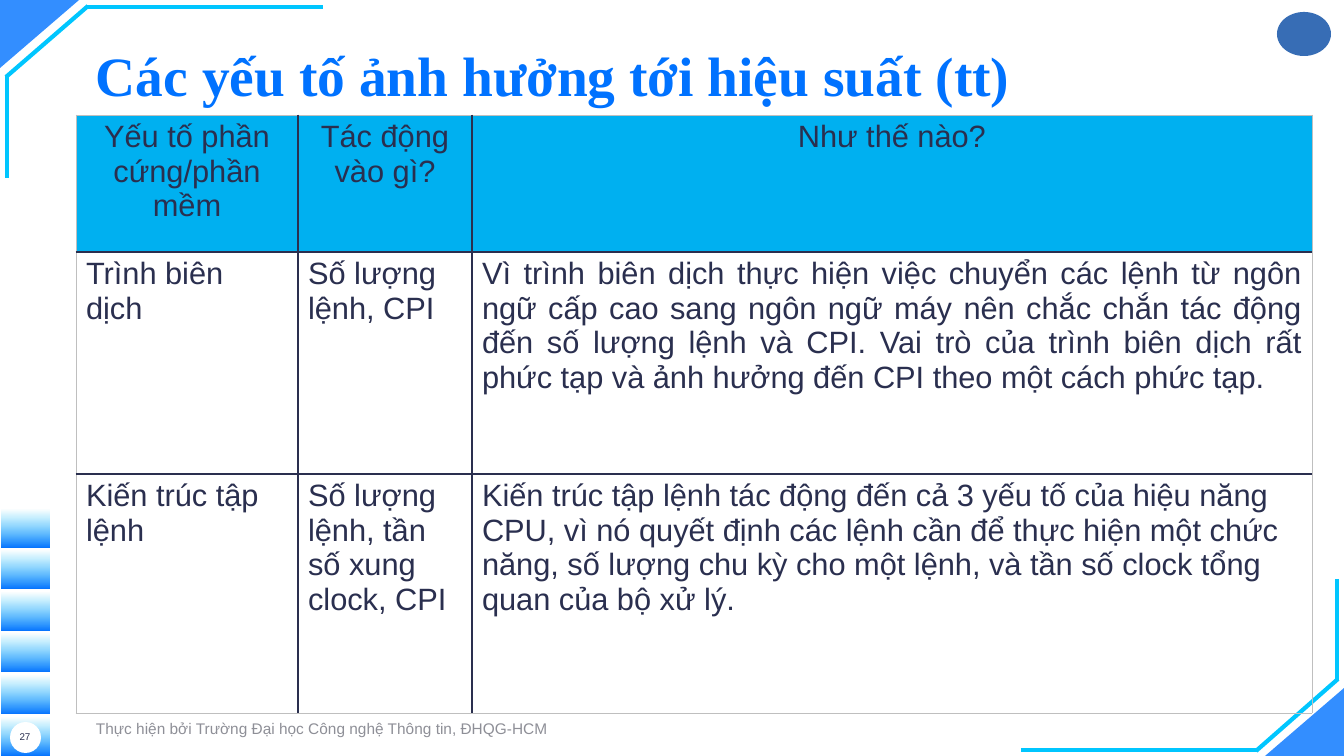
from lxml.etree import SubElement
from pptx import Presentation
from pptx.dml.color import RGBColor
from pptx.enum.shapes import MSO_CONNECTOR, MSO_SHAPE as SHAPE
from pptx.enum.text import MSO_ANCHOR, PP_ALIGN as ALIGN
from pptx.oxml.ns import qn
from pptx.util import Emu, Pt

COLORS = {
    "blue": "0072FF", "cyan": "00C6FF", "header": "00B0F0", "ink": "2A2F4F",
    "muted": "8E8F97", "edge": "BFBFBF", "logo": "376DB5", "white": "FFFFFF",
}
TITLE = "Các yếu tố ảnh hưởng tới hiệu suất (tt)"
FOOTER = "Thực hiện bởi Trường Đại học Công nghệ Thông tin, ĐHQG-HCM"
PAGE = "27"
ROWS = [
    ("Yếu tố phần cứng/phần mềm", "Tác động vào gì?", "Như thế nào?"),
    ("Trình biên dịch", "Số lượng lệnh, CPI",
     "Vì trình biên dịch thực hiện việc chuyển các lệnh từ ngôn ngữ cấp cao sang "
     "ngôn ngữ máy nên chắc chắn tác động đến số lượng lệnh và CPI. Vai trò của "
     "trình biên dịch rất phức tạp và ảnh hưởng đến CPI theo một cách phức tạp."),
    ("Kiến trúc tập lệnh", "Số lượng lệnh, tần số xung clock, CPI",
     "Kiến trúc tập lệnh tác động đến cả 3 yếu tố của hiệu năng CPU, vì nó quyết "
     "định các lệnh cần để thực hiện một chức năng, số lượng chu kỳ cho một lệnh, "
     "và tần số clock tổng quan của bộ xử lý."),
]
COL_WIDTHS = (222, 174, 840)
ROW_HEIGHTS = (137, 222, 239)
TABLE_AT = (76, 115)
CORNERS = [((0, 0, 79, 68), 180), ((1265, 688, 79, 68), 0)]
FRAME_LINES = [
    (323, 7, 86, 7), (88, 6, 6, 77), (7, 178, 7, 75),
    (1021, 750, 1258, 750), (1256, 751, 1338, 679), (1337, 579, 1337, 681),
]
TEXTS = [
    (TITLE, (86, 24, 1166, 87),
     {"name": "Times New Roman", "size": Pt(39.6), "bold": True}, "blue",
     {"line_spacing": 1.2, "space_after": Pt(2)}),
    (FOOTER, (86, 714, 476, 29), {"name": "Arial", "size": Pt(11)}, "muted", {}),
    (PAGE, (6, 718, 38, 38), {"name": "Arial", "size": Pt(7)}, "ink",
     {"alignment": ALIGN.CENTER}),
]
CELL_FONT = {"name": "Arial", "size": Pt(22), "bold": False}


def px(*values):
    return [Emu(round(v * 914400 / 100.8)) for v in values]


def rgb(name):
    return RGBColor.from_string(COLORS[name])


def set_alpha(sp, color, percent):
    for node in sp._element.iter(qn("a:srgbClr")):
        if node.get("val") == COLORS[color]:
            SubElement(node, qn("a:alpha"), val=str(percent * 1000))


def add_shape(kind, box, color=None):
    sp = slide.shapes.add_shape(kind, *px(*box))
    sp.shadow.inherit = False
    sp.line.fill.background()
    if color:
        sp.fill.solid()
        sp.fill.fore_color.rgb = rgb(color)
    return sp


def write(tf, text, font, color, layout):
    p = tf.paragraphs[0]
    r = p.add_run()
    r.text = text
    r.font.color.rgb = rgb(color)
    for target, values in ((r.font, font), (p, layout)):
        for key, value in values.items():
            setattr(target, key, value)


def add_border(cell, side, color, width):
    ln = SubElement(cell._tc.get_or_add_tcPr(), qn("a:ln" + side), w=str(Pt(width)))
    SubElement(SubElement(ln, qn("a:solidFill")), qn("a:srgbClr"), val=COLORS[color])


prs = Presentation()
prs.slide_width, prs.slide_height = px(1344, 756)
slide = prs.slides.add_slide(prs.slide_layouts[6])

for box, angle in CORNERS:
    sp = add_shape(SHAPE.ISOSCELES_TRIANGLE, box, "blue")
    sp.adjustments[0] = 1
    sp.rotation = angle
    set_alpha(sp, "blue", 80)

for ends in FRAME_LINES:
    line = slide.shapes.add_connector(MSO_CONNECTOR.STRAIGHT, *px(*ends))
    line.line.color.rgb = rgb("cyan")
    line.line.width = Pt(3)
    SubElement(line._element.spPr, qn("a:effectLst"))

for i in range(6):
    sp = add_shape(SHAPE.RECTANGLE, (2, 510 + i * 208 // 5, 48, 38))
    sp.fill.gradient()
    sp.fill.gradient_angle = 90
    for stop, color in zip(sp.fill.gradient_stops, ("blue", "cyan")):
        stop.color.rgb = rgb(color)
    set_alpha(sp, "cyan", 0)

add_shape(SHAPE.OVAL, (1277, 12, 54, 44), "logo")
add_shape(SHAPE.OVAL, (10, 722, 31, 31), "white")

for text, box, font, color, layout in TEXTS:
    tf = slide.shapes.add_textbox(*px(*box)).text_frame
    tf.word_wrap = True
    tf.vertical_anchor = MSO_ANCHOR.MIDDLE
    write(tf, text, font, color, layout)

table = slide.shapes.add_table(
    len(ROW_HEIGHTS), len(COL_WIDTHS),
    *px(*TABLE_AT, sum(COL_WIDTHS), sum(ROW_HEIGHTS))).table
table.first_row = table.horz_banding = False
for col, width in zip(table.columns, px(*COL_WIDTHS)):
    col.width = width
for row, height in zip(table.rows, px(*ROW_HEIGHTS)):
    row.height = height

last_row, last_col = len(ROW_HEIGHTS) - 1, len(COL_WIDTHS) - 1
for i, texts in enumerate(ROWS):
    for j, text in enumerate(texts):
        cell = table.cell(i, j)
        outer = {"L": j == 0, "R": j == last_col, "T": i == 0, "B": i == last_row}
        for side, is_outer in outer.items():
            add_border(cell, side, *(("edge", 0.5) if is_outer else ("ink", 1)))
        align = ALIGN.LEFT
        if i == 0:
            align = ALIGN.CENTER
            cell.fill.solid()
            cell.fill.fore_color.rgb = rgb("header")
        else:
            cell.fill.background()
            if (i, j) == (1, last_col):
                align = ALIGN.JUSTIFY
        write(cell.text_frame, text, CELL_FONT, "ink", {"alignment": align})

prs.save("out.pptx")
